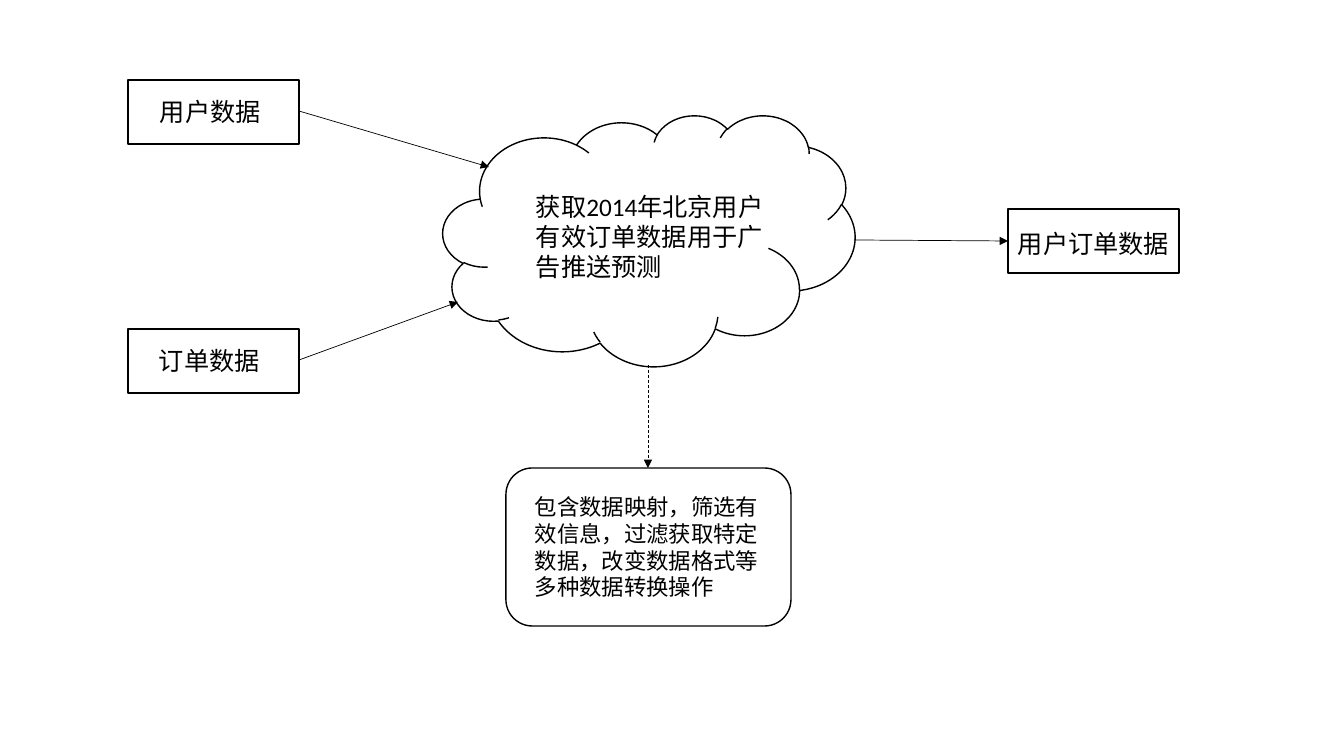
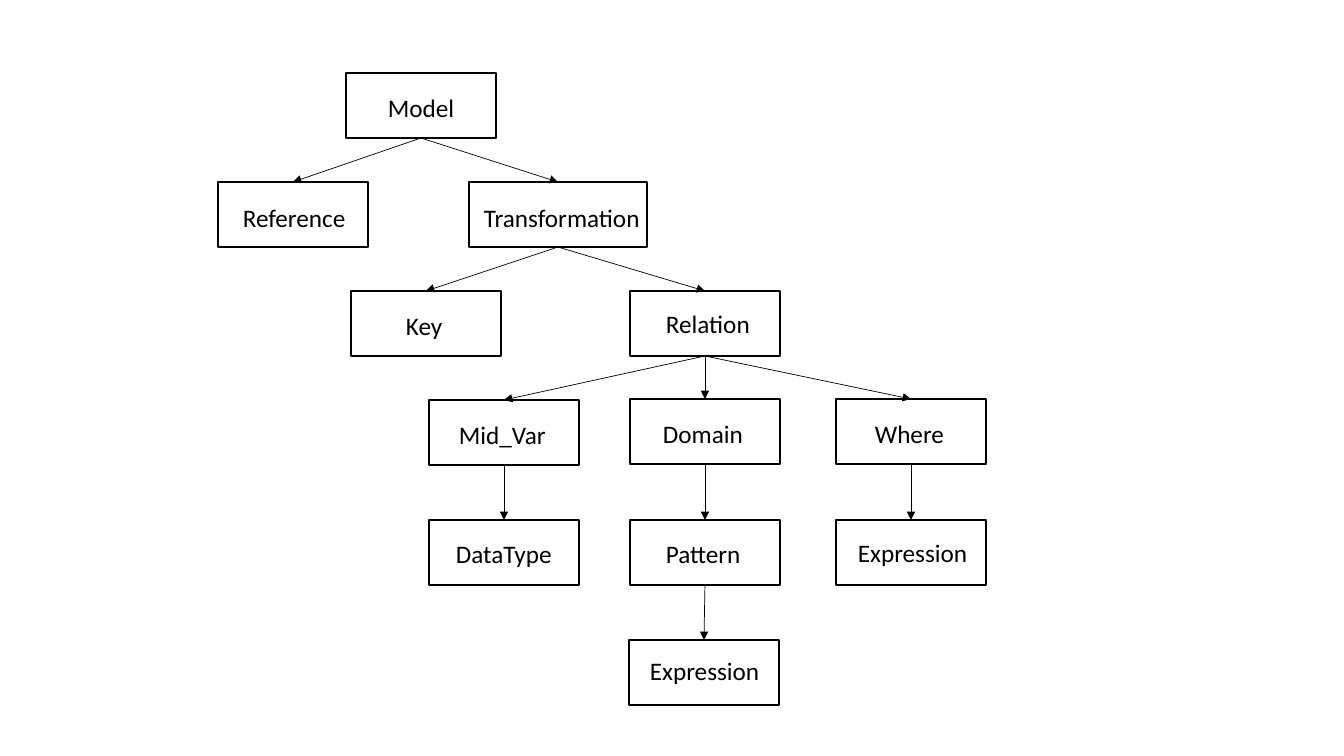
from lxml import etree
from pptx import Presentation
from pptx.dml.color import RGBColor
from pptx.enum.dml import MSO_LINE
from pptx.enum.shapes import MSO_CONNECTOR, MSO_SHAPE
from pptx.enum.text import MSO_ANCHOR, MSO_AUTO_SIZE, PP_ALIGN
from pptx.oxml.ns import qn
from pptx.util import Emu, Pt

RECT = MSO_SHAPE.RECTANGLE
ROUND = MSO_SHAPE.ROUNDED_RECTANGLE
CLOUD = MSO_SHAPE.CLOUD
LINE = MSO_CONNECTOR.STRAIGHT
DASH = MSO_LINE.DASH
TOP = MSO_ANCHOR.TOP
LEFT = PP_ALIGN.LEFT
GROW = MSO_AUTO_SIZE.SHAPE_TO_FIT_TEXT

SCALE = 914400 / 100.8
COLORS = {"ink": "000000", "paper": "FFFFFF"}
FONT = "Calibri"
NODE_W, NODE_H = 150, 65
DATA_W, DATA_H = 171, 64
LABEL_H = 40
BELOW, ABOVE = 2, 0

# key: (text, left, top, width, label dx, label dy, label width)
NODES = {
    "model": ("Model", 346, 73, NODE_W, 32, 14, 106),
    "ref": ("Reference", 218, 182, NODE_W, 15, 15, 125),
    "trans": ("Transformation", 469, 182, 178, 5, 15, 184),
    "key": ("Key", 351, 291, NODE_W, 45, 14, 125),
    "rel": ("Relation", 630, 291, NODE_W, 26, 12, 125),
    "mid": ("Mid_Var", 429, 400, NODE_W, 20, 14, 125),
    "domain": ("Domain", 630, 399, NODE_W, 23, 14, 125),
    "where": ("Where", 836, 399, NODE_W, 29, 14, 125),
    "type": ("DataType", 429, 520, NODE_W, 17, 13, 125),
    "pattern": ("Pattern", 630, 520, NODE_W, 26, 13, 125),
    "where_exp": ("Expression", 836, 520, NODE_W, 12, 12, 135),
    "pattern_exp": ("Expression", 629, 640, NODE_W, 11, 10, 135),
}
TREE = {
    "model": ["ref", "trans"],
    "trans": ["key", "rel"],
    "rel": ["mid", "domain", "where"],
    "mid": ["type"],
    "domain": ["pattern"],
    "where": ["where_exp"],
    "pattern": ["pattern_exp"],
}


def px(*values):
    """Turn pixels into EMU."""
    return [Emu(round(value * SCALE)) for value in values]


def color(name):
    """Look up a named colour."""
    return RGBColor.from_string(COLORS[name])


def add_box(slide, kind, *place):
    """Add an outlined white shape."""
    box = slide.shapes.add_shape(kind, *px(*place))
    box.shadow.inherit = False
    box.fill.solid()
    box.fill.fore_color.rgb = color("paper")
    box.line.color.rgb = color("ink")
    box.line.width = Pt(1)
    return box


def add_label(slide, text, *place, size=18):
    """Add a wrapped text box."""
    frame = slide.shapes.add_textbox(*px(*place)).text_frame
    frame.text = text
    frame.word_wrap = True
    frame.auto_size = GROW
    frame.vertical_anchor = TOP
    for para in frame.paragraphs:
        para.alignment = LEFT
        for run in para.runs:
            run.font.name = FONT
            run.font.size = Pt(size)
            run.font.color.rgb = color("ink")


def add_arrow(slide, *ends, dash=None):
    """Add a thin line with an arrowhead at its end."""
    arrow = slide.shapes.add_connector(LINE, *px(*ends))
    arrow.line.color.rgb = color("ink")
    arrow.line.width = Pt(0.5)
    if dash:
        arrow.line.dash_style = dash
    props = arrow.element.spPr
    head = etree.SubElement(props.find(qn("a:ln")), qn("a:tailEnd"))
    head.set("type", "triangle")
    etree.SubElement(props, qn("a:effectLst"))
    return arrow


def add_node(slide, text, left, top, width, dx, dy, label_w):
    """Add a tree box with its label."""
    box = add_box(slide, RECT, left, top, width, NODE_H)
    add_label(slide, text, left + dx, top + dy, label_w, LABEL_H)
    return box


def add_link(slide, parent, child):
    """Join two tree boxes with an arrow."""
    arrow = add_arrow(slide, 0, 0, 0, 0)
    arrow.begin_connect(parent, BELOW)
    arrow.end_connect(child, ABOVE)


def draw_flow(slide):
    """Draw the order data flow."""
    for left, top in [(128, 80), (128, 329), (1008, 209)]:
        add_box(slide, RECT, left, top, DATA_W, DATA_H)
    add_label(slide, "用户数据", 150, 91, 144, LABEL_H)
    add_label(slide, "订单数据", 149, 340, 144, LABEL_H)
    add_label(slide, "用户订单数据", 1008, 223, 183, LABEL_H)
    add_box(slide, CLOUD, 443, 115, 412, 251)
    add_label(slide, "获取2014年北京用户有效订单数据用于广告推送预测",
              526, 186, 268, 102)
    add_box(slide, ROUND, 506, 468, 285, 158)
    add_label(slide, "包含数据映射，筛选有效信息，过滤获取特定数据，"
              "改变数据格式等多种数据转换操作", 525, 488, 254, 119, size=16)
    add_arrow(slide, 299, 111, 489, 167)
    add_arrow(slide, 299, 360, 458, 302)
    add_arrow(slide, 854, 240, 1008, 241)
    add_arrow(slide, 648, 365, 648, 468, dash=DASH)


def draw_tree(slide):
    """Draw the model tree."""
    boxes = {key: add_node(slide, *node) for key, node in NODES.items()}
    for parent, children in TREE.items():
        for child in children:
            add_link(slide, boxes[parent], boxes[child])


def main():
    """Build and save both slides."""
    deck = Presentation()
    deck.slide_width, deck.slide_height = px(1344, 756)
    blank = deck.slide_layouts[6]
    for draw in (draw_flow, draw_tree):
        draw(deck.slides.add_slide(blank))
    deck.save("out.pptx")


main()
